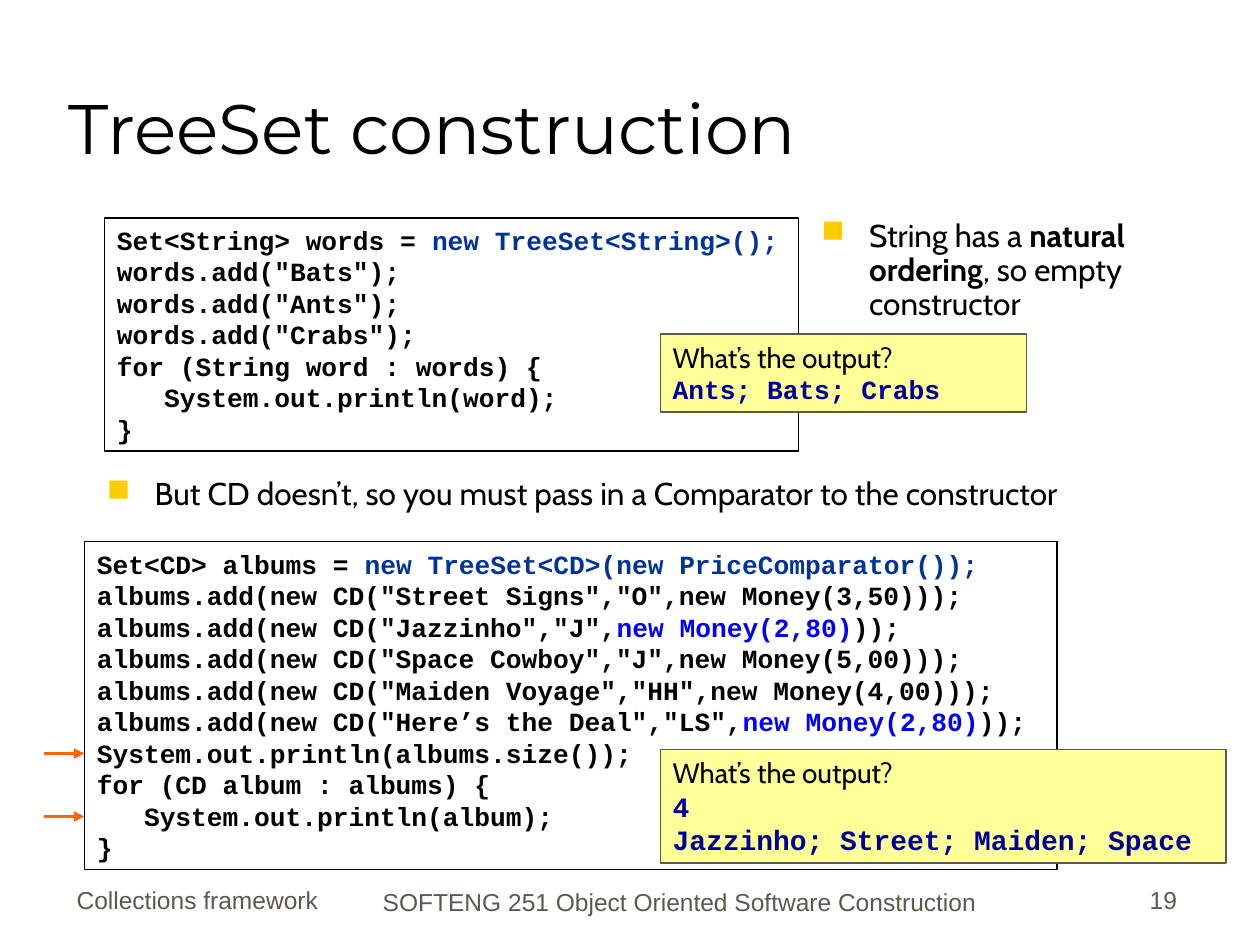
from pptx import Presentation
from pptx.dml.color import RGBColor as RGB
from pptx.enum.shapes import MSO_CONNECTOR as Connector, MSO_SHAPE as Shape
from pptx.enum.text import MSO_ANCHOR as Anchor, PP_ALIGN as Align
from pptx.oxml import parse_xml
from pptx.oxml.ns import nsdecls
from pptx.util import Inches, Pt

COLORS = {
    "black": "000000", "navy": "003399", "blue": "0000FF", "answer": "000099",
    "gray": "5E574E", "yellow": "FFFF99", "gold": "FFCC00", "orange": "FF6600",
}
# Run styles: font, size, bold, colour
STYLES = {
    "title": ("Montserrat", 40, False, "black"),
    "body": ("Cabin", 18, False, "black"),
    "strong": ("Cabin", 18, True, "black"),
    "code": ("Courier New", 15, True, "black"),
    "tree": ("Courier New", 15, True, "navy"),
    "price": ("Courier New", 15, True, "blue"),
    "ask": ("Cabin", 16, False, "black"),
    "answer": ("Courier New", 15, True, "answer"),
    "big_answer": ("Courier New", 16, True, "answer"),
    "footer": ("Arial", 14, False, "gray"),
}

deck = Presentation()
deck.slide_width, deck.slide_height = Inches(10), Inches(7.5)
slide = deck.slides.add_slide(deck.slide_layouts[5])
COL, ROW = deck.slide_width / 100, deck.slide_height / 75


def place(left, top, width, height):
    """Turn grid columns and rows into slide lengths."""
    return [round(n * unit) for n, unit in zip((left, top, width, height), (COL, ROW) * 2)]


def write(frame, paragraphs, anchor=Anchor.TOP, align=Align.LEFT, bullet=False):
    """Fill a text frame; each paragraph is a list of (text, style) runs."""
    frame.word_wrap, frame.vertical_anchor = True, anchor
    for i, runs in enumerate(paragraphs):
        line = frame.add_paragraph() if i else frame.paragraphs[0]
        line.alignment = align
        if bullet:
            line.line_spacing = 0.9
            props = line._p.get_or_add_pPr()
            props.set("marL", str(Inches(0.38)))
            props.set("indent", str(-Inches(0.38)))
            props.append(parse_xml(f'<a:buClr {nsdecls("a")}><a:srgbClr val="{COLORS["gold"]}"/></a:buClr>'))
            props.append(parse_xml(f'<a:buChar {nsdecls("a")} char="■"/>'))
        for text, style in runs:
            run = line.add_run()
            run.text = text
            name, size, bold, color = STYLES[style]
            for key, value in {"name": name, "size": Pt(size), "bold": bold}.items():
                setattr(run.font, key, value)
            run.font.color.rgb = RGB.from_string(COLORS[color])


# Title
title = slide.shapes.title
for side, length in zip(("left", "top", "width", "height"), place(4.4, 2.5, 85, 11.4)):
    setattr(title, side, length)
write(title.text_frame, [[("TreeSet construction", "title")]], Anchor.BOTTOM)

# Bullet points
natural_order = [("String has a ", "body"), ("natural ordering", "strong"),
                 (", so empty constructor", "body")]
comparator = [("But CD doesn’t, so you must pass in a Comparator to the constructor", "body")]
for area, point in (((64.2, 17, 32.4, 9.4), natural_order), ((7.5, 37.5, 89, 3.9), comparator)):
    write(slide.shapes.add_textbox(*place(*area)).text_frame, [point], bullet=True)

# Code listings, then the answers that overlap them
words_code = [
    [("Set<String> words = ", "code"), ("new TreeSet<String>();", "tree")],
    [('words.add("Bats");', "code")],
    [('words.add("Ants");', "code")],
    [('words.add("Crabs");', "code")],
    [("for (String word : words) {", "code")],
    [("   System.out.println(word);", "code")],
    [("}", "code")],
]
albums_code = [
    [("Set<CD> albums = ", "code"), ("new TreeSet<CD>(new PriceComparator());", "tree")],
    [('albums.add(new CD("Street Signs","O",new Money(3,50)));', "code")],
    [('albums.add(new CD("Jazzinho","J",', "code"), ("new Money(2,80)", "price"), ("));", "code")],
    [('albums.add(new CD("Space Cowboy","J",new Money(5,00)));', "code")],
    [('albums.add(new CD("Maiden Voyage","HH",new Money(4,00))); '
      'albums.add(new CD("Here’s the Deal","LS",', "code"),
     ("new Money(2,80)", "price"), ("));", "code")],
    [("System.out.println(albums.size());", "code")],
    [("for (CD album : albums) {", "code")],
    [("   System.out.println(album);", "code")],
    [("}", "code")],
]
question = [("What’s the output?", "ask")]
albums_answer = [question, [("4", "big_answer")],
                 [("Jazzinho; Street; Maiden; Space", "big_answer")]]
words_answer = [question, [("Ants; Bats; Crabs", "answer")]]
for area, fill, border, paragraphs in (
    ((8.3, 17.3, 55.1, 18.5), None, "black", words_code),
    ((6.7, 43, 77.2, 26), None, "black", albums_code),
    ((52.4, 59.5, 44.9, 9), "yellow", "gray", albums_answer),
    ((52.4, 26.5, 29.1, 6.2), "yellow", "gray", words_answer),
):
    panel = slide.shapes.add_shape(Shape.RECTANGLE, *place(*area))
    panel.shadow.inherit = False
    if fill:
        panel.fill.solid()
        panel.fill.fore_color.rgb = RGB.from_string(COLORS[fill])
    else:
        panel.fill.background()
    panel.line.color.rgb = RGB.from_string(COLORS[border])
    panel.line.width = Pt(0.75)
    write(panel.text_frame, paragraphs)

# Arrows at the two printing lines
for row in (59.8, 64.8):
    arrow = slide.shapes.add_connector(Connector.STRAIGHT, *place(3.5, row, 6.7, row))
    arrow.line.color.rgb = RGB.from_string(COLORS["orange"])
    arrow.line.width = Pt(1.5)
    arrow.line._get_or_add_ln().append(parse_xml(f'<a:tailEnd {nsdecls("a")} type="triangle"/>'))
    arrow._element.spPr.append(parse_xml(f'<a:effectLst {nsdecls("a")}/>'))

# Footer
for area, text, align in (
    ((5.1, 68.1, 33.6, 5), "Collections framework", Align.LEFT),
    ((25.6, 68.2, 56.7, 5), "SOFTENG 251 Object Oriented Software Construction", Align.CENTER),
    ((73.6, 68.1, 20.8, 5), "19", Align.RIGHT),
):
    write(slide.shapes.add_textbox(*place(*area)).text_frame, [[(text, "footer")]],
          Anchor.BOTTOM, align)

deck.save("out.pptx")
